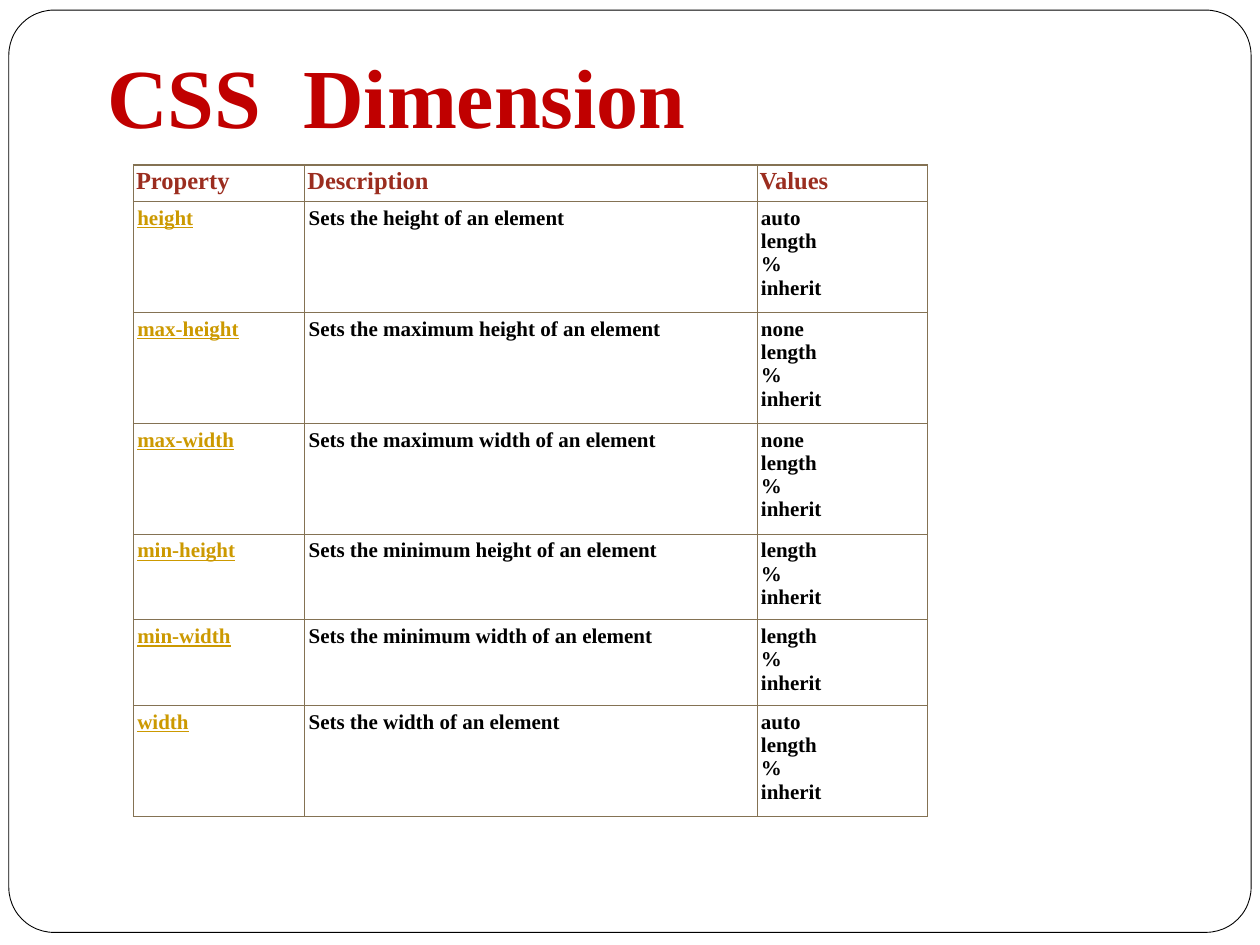
from copy import deepcopy
from dataclasses import dataclass

from lxml.etree import SubElement
from pptx import Presentation
from pptx.dml.color import RGBColor as RGB
from pptx.enum.shapes import MSO_SHAPE as Shape
from pptx.enum.text import MSO_ANCHOR as Anchor, PP_ALIGN as Align
from pptx.oxml.ns import qn
from pptx.util import Inches, Pt


@dataclass(frozen=True)
class Theme:
    font: str = "Times New Roman"
    paper: str = "FFFFFF"
    ink: str = "000000"
    title: str = "C00000"
    title_outline: str = "B41A06"
    header: str = "9B2D1F"
    link: str = "CC9900"
    border: str = "847253"
    title_size: int = 48
    header_size: int = 14
    body_size: int = 12


@dataclass(frozen=True)
class Property:
    name: str
    description: str
    values: tuple[str, ...]


THEME = Theme()
SIZES = ("length", "%", "inherit")
HEADINGS = ("Property", "Description", "Values")
PROPERTIES = (
    Property("height", "Sets the height of an element", ("auto", *SIZES)),
    Property("max-height", "Sets the maximum height of an element", ("none", *SIZES)),
    Property("max-width", "Sets the maximum width of an element", ("none", *SIZES)),
    Property("min-height", "Sets the minimum height of an element", SIZES),
    Property("min-width", "Sets the minimum width of an element", SIZES),
    Property("width", "Sets the width of an element", ("auto", *SIZES)),
)
COLUMN_WIDTHS = (1.36, 3.59, 1.35)
HEADER_HEIGHT = 0.29
LINE_HEIGHT = 0.2
ROW_PADDING = 0.08


def add_line(parent, tag: str, color: str, width: float):
    line = SubElement(parent, qn(tag), w=str(Pt(width)))
    fill = SubElement(line, qn("a:solidFill"))
    SubElement(fill, qn("a:srgbClr"), val=color)
    return line


def write(frame, text: str, *, size: int, color: str, underline: bool = False) -> None:
    """Write one bold paragraph; newlines become line breaks of the same size."""
    para = frame.paragraphs[0]
    para.text = text
    para.alignment = Align.LEFT
    for span in para.runs:
        font = span.font
        font.name, font.size, font.bold = THEME.font, Pt(size), True
        font.underline = underline
        font.color.rgb = RGB.from_string(color)
    for line_break in para._p.findall(qn("a:br")):
        line_break.append(deepcopy(para.runs[0]._r.rPr))


def style_cell(cell, inset_x: float, inset_y: float) -> None:
    cell.margin_left = cell.margin_right = Inches(inset_x)
    cell.margin_top = cell.margin_bottom = Inches(inset_y)
    cell.vertical_anchor = Anchor.TOP
    properties = cell._tc.get_or_add_tcPr()
    for side in ("a:lnL", "a:lnR", "a:lnT", "a:lnB"):
        add_line(properties, side, THEME.border, 0.75)
    cell.fill.background()


def add_frame(slide) -> None:
    """Draw the rounded page border behind everything else."""
    box = slide.shapes.add_shape(
        Shape.ROUNDED_RECTANGLE, Inches(0.07), Inches(0.08), Inches(9.86), Inches(7.32))
    box.adjustments[0] = 0.049
    box.shadow.inherit = False
    box.fill.solid()
    box.fill.fore_color.rgb = RGB.from_string(THEME.paper)
    box.line.color.rgb = RGB.from_string(THEME.ink)
    box.line.width = Pt(0.5)
    slide.shapes._spTree.insert(2, box._element)


def add_title(slide, text: str) -> None:
    title = slide.shapes.title
    title.left, title.top = Inches(0.75), Inches(0.29)
    title.width, title.height = Inches(7.69), Inches(0.91)
    frame = title.text_frame
    frame.vertical_anchor = Anchor.BOTTOM
    write(frame, text, size=THEME.title_size, color=THEME.title)
    run_format = frame.paragraphs[0].runs[0]._r.rPr
    run_format.insert(0, add_line(run_format, "a:ln", THEME.title_outline, 1.42))


def add_property_table(slide) -> None:
    heights = [HEADER_HEIGHT] + [
        LINE_HEIGHT * len(item.values) + ROW_PADDING for item in PROPERTIES]
    table = slide.shapes.add_table(
        len(heights), len(COLUMN_WIDTHS), Inches(1.06), Inches(1.31),
        Inches(sum(COLUMN_WIDTHS)), Inches(sum(heights))).table
    table.first_row = table.horz_banding = False
    for column, width in zip(table.columns, COLUMN_WIDTHS):
        column.width = Inches(width)
    for row, height in zip(table.rows, heights):
        row.height = Inches(height)

    for column, heading in enumerate(HEADINGS):
        cell = table.cell(0, column)
        style_cell(cell, 0.02, 0.02)
        write(cell.text_frame, heading, size=THEME.header_size, color=THEME.header)
    for row, item in enumerate(PROPERTIES, start=1):
        texts = (item.name, item.description, "\n".join(item.values))
        for column, text in enumerate(texts):
            cell = table.cell(row, column)
            is_link = column == 0
            style_cell(cell, 0.03, 0.04)
            write(cell.text_frame, text, size=THEME.body_size,
                  color=THEME.link if is_link else THEME.ink, underline=is_link)


def main() -> None:
    deck = Presentation()
    deck.slide_width, deck.slide_height = Inches(10), Inches(7.5)
    page = deck.slides.add_slide(deck.slide_layouts[5])
    add_frame(page)
    add_title(page, "CSS  Dimension")
    add_property_table(page)
    deck.save("out.pptx")


if __name__ == "__main__":
    main()
